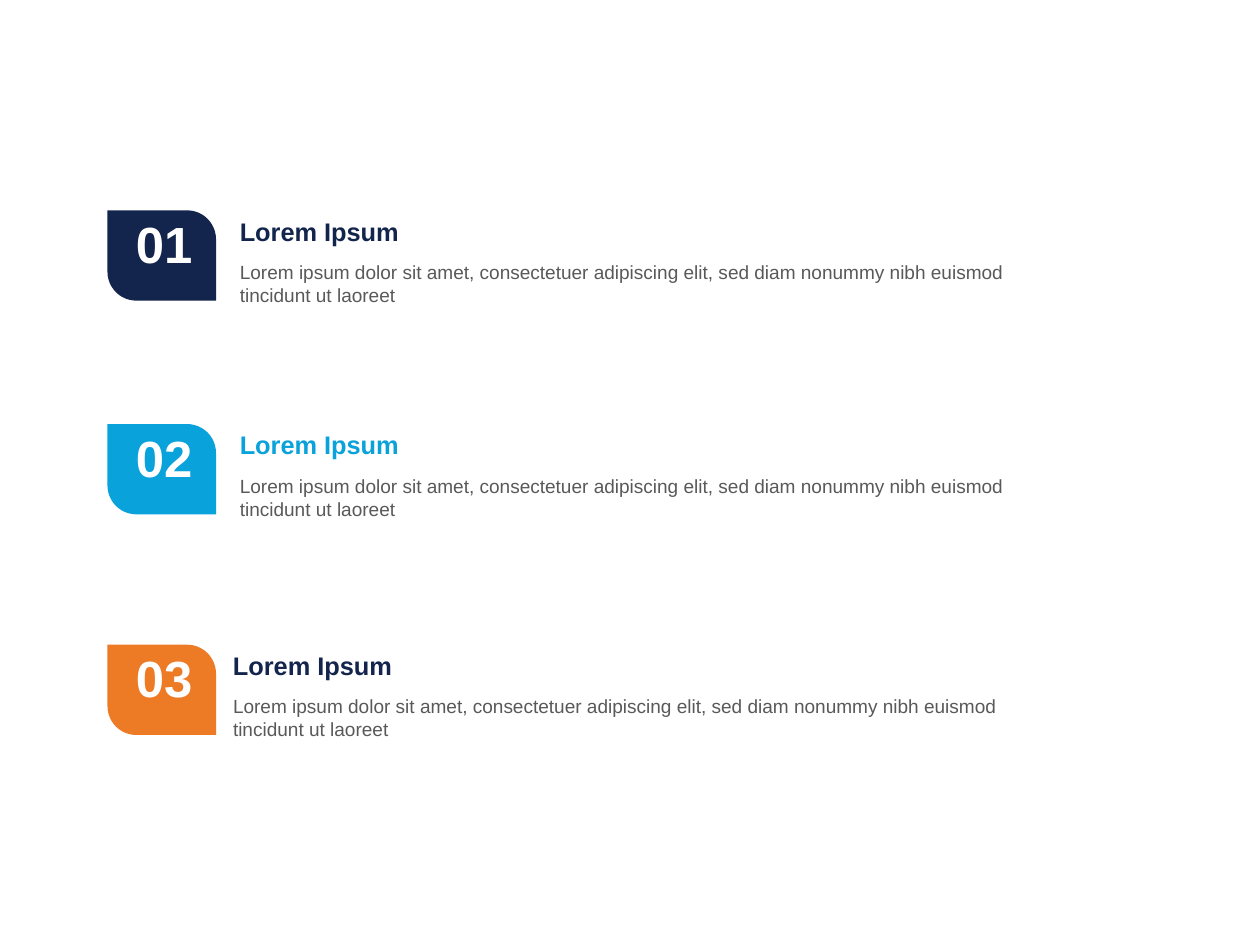
from dataclasses import dataclass

from pptx import Presentation
from pptx import util as u
from pptx.dml import color as c
from pptx.enum import shapes, text


@dataclass(frozen=True)
class Theme:
    font: str = "Arial"
    navy: str = "13254C"
    blue: str = "0AA2DB"
    orange: str = "ED7B26"
    grey: str = "595959"
    white: str = "FFFFFF"
    number_size: int = 32
    heading_size: int = 16
    body_size: int = 12


THEME = Theme()
CM_PER_INCH = 2.54
HEADING = "Lorem Ipsum"
BODY = ("Lorem ipsum dolor sit amet, consectetuer adipiscing elit, "
        "sed diam nonummy nibh euismod tincidunt ut laoreet")
BADGE_LEFT = 0.94
ITEMS = [
    (1.84, THEME.navy, THEME.navy, 2, 7.32),
    (3.71, THEME.blue, THEME.blue, 2, 7.53),
    (5.64, THEME.orange, THEME.navy, 1.94, 7.02),
]


def add_text(slide, box, words, size, color, bold=False):
    frame = slide.shapes.add_textbox(*map(u.Inches, box)).text_frame
    frame.word_wrap = True
    frame.vertical_anchor = text.MSO_ANCHOR.TOP
    frame.text = words
    font = frame.paragraphs[0].runs[0].font
    font.name = THEME.font
    font.size = u.Pt(size)
    font.bold = bold
    font.color.rgb = c.RGBColor.from_string(color)


def add_badge(slide, left, top, number, color):
    badge = slide.shapes.add_shape(
        shapes.MSO_SHAPE.ROUND_2_DIAG_RECTANGLE,
        *map(u.Inches, (left, top, 0.95, 0.79)))
    badge.adjustments[0] = 0
    badge.adjustments[1] = 0.32
    badge.shadow.inherit = False
    badge.fill.solid()
    badge.fill.fore_color.rgb = c.RGBColor.from_string(color)
    badge.line.fill.background()
    add_text(slide, (left + 0.15, top - 0.03, 0.72, 0.63), f"{number:02d}",
             THEME.number_size, THEME.white, bold=True)


def add_description(slide, left, top, width, color):
    add_text(slide, (left, top, 4.04, 0.36), HEADING,
             THEME.heading_size, color, bold=True)
    add_text(slide, (left, top + 0.39, width, 0.5), BODY,
             THEME.body_size, THEME.grey)


deck = Presentation()
deck.slide_width = u.Inches(28 / CM_PER_INCH)
deck.slide_height = u.Inches(21 / CM_PER_INCH)
agenda = deck.slides.add_slide(deck.slide_layouts[6])

for number, (top, badge_color, heading_color, left, width) in enumerate(ITEMS, 1):
    add_badge(agenda, BADGE_LEFT, top, number, badge_color)
    add_description(agenda, left, top, width, heading_color)

deck.save("out.pptx")
